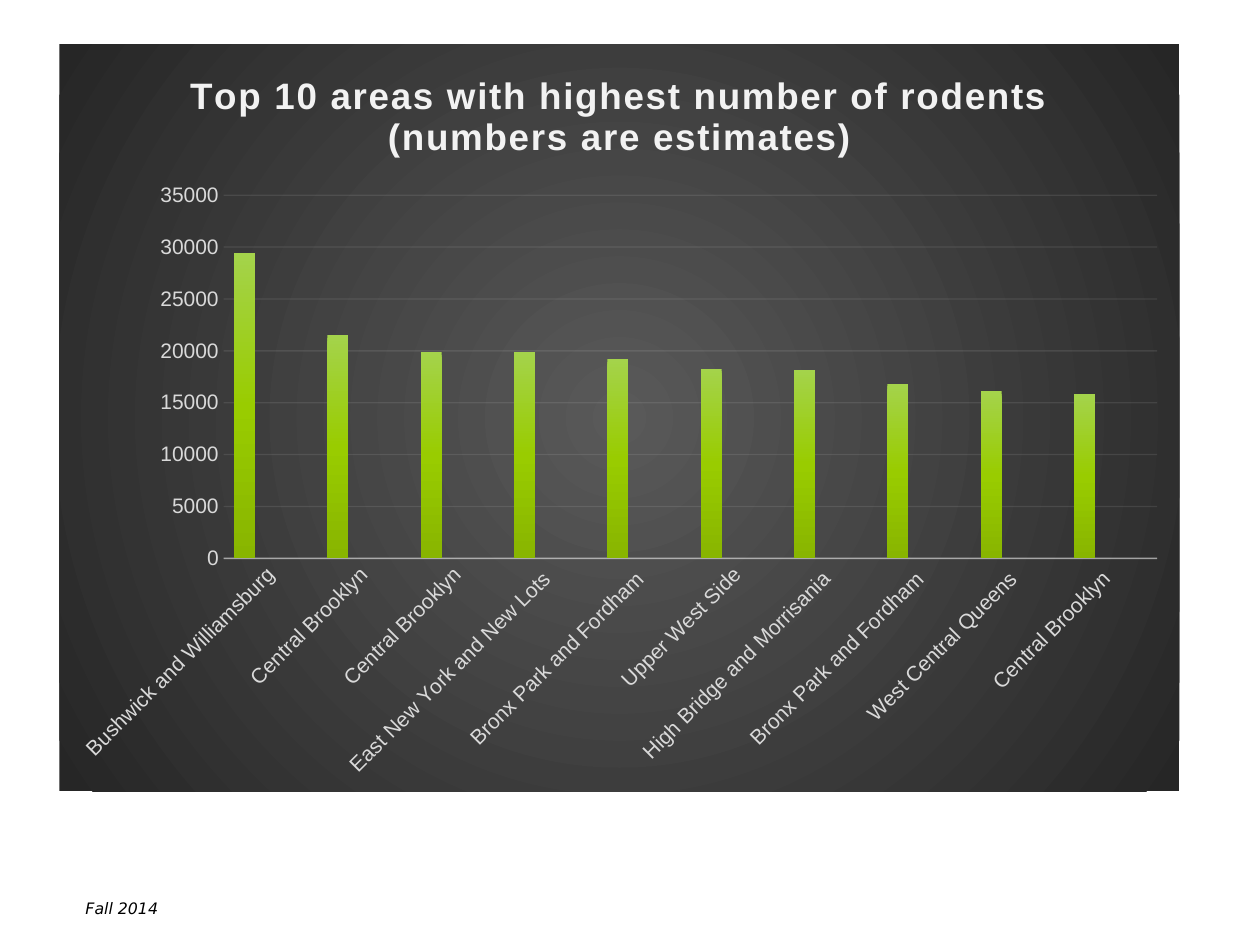
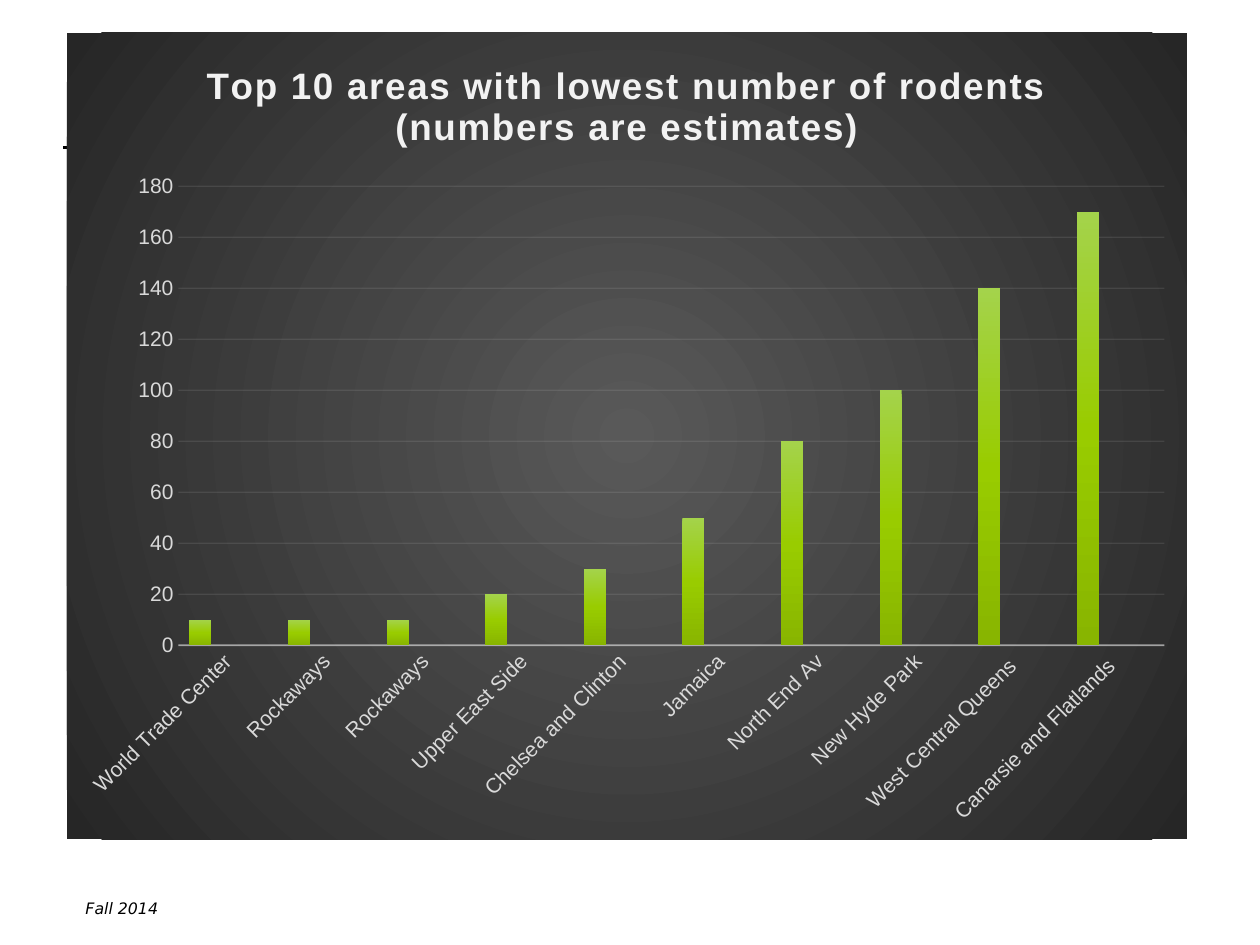
from pptx import Presentation
from pptx.chart.data import CategoryChartData
from pptx.dml.color import RGBColor
from pptx.enum.chart import XL_CHART_TYPE, XL_TICK_MARK
from pptx.enum.shapes import MSO_CONNECTOR
from pptx.oxml import parse_xml
from pptx.oxml.ns import nsdecls
from pptx.oxml.xmlchemy import OxmlElement
from pptx.util import Pt

BLACK = RGBColor(0x00, 0x00, 0x00)
PALE = RGBColor(0xF2, 0xF2, 0xF2)
LABEL_GREY = RGBColor(0xD9, 0xD9, 0xD9)

CENTRE_GREY = RGBColor(0x59, 0x59, 0x59)
EDGE_GREY = RGBColor(0x26, 0x26, 0x26)
GREENS = [RGBColor(0xA4, 0xD3, 0x4B), RGBColor(0x99, 0xCC, 0x00), RGBColor(0x88, 0xB5, 0x00)]
OLIVES = [RGBColor(0xD2, 0xD2, 0x7A), RGBColor(0xD1, 0xD1, 0x61), RGBColor(0xC0, 0xC0, 0x50)]
WHITES = [RGBColor(0xFF, 0xFF, 0xFF), RGBColor(0xFF, 0xFF, 0xFF), RGBColor(0xE3, 0xE3, 0xE3)]

CHART_FONT = "Arial"
FOOTER_FONT = "DejaVu Sans"
DOWNWARD = '<a:lin ang="5400000" scaled="0"/>'
FROM_CENTRE = '<a:path path="circle"><a:fillToRect l="50000" t="50000" r="50000" b="50000"/></a:path>'

MOST_RODENTS = [
    ("Bushwick and Williamsburg", 29400),
    ("Central Brooklyn", 21500),
    ("Central Brooklyn", 19900),
    ("East New York and New Lots ", 19900),
    ("Bronx Park and Fordham ", 19200),
    ("Upper West Side", 18300),
    ("High Bridge and Morrisania ", 18200),
    ("Bronx Park and Fordham ", 16800),
    ("West Central Queens ", 16100),
    ("Central Brooklyn ", 15800),
]
FEWEST_RODENTS = [
    ("World Trade Center", 10),
    ("Rockaways", 10),
    ("Rockaways", 10),
    ("Upper East Side", 20),
    ("Chelsea and Clinton", 30),
    ("Jamaica", 50),
    ("North End Av", 80),
    ("New Hyde Park", 100),
    ("West Central Queens ", 140),
    ("Canarsie and Flatlands ", 170),
]


def gradient(colors, direction):
    """Return a gradient fill with evenly spaced stops."""
    step = 100000 // (len(colors) - 1)
    stops = "".join(
        f'<a:gs pos="{index * step}"><a:srgbClr val="{color}"/></a:gs>'
        for index, color in enumerate(colors)
    )
    return parse_xml(f'<a:gradFill {nsdecls("a")}><a:gsLst>{stops}</a:gsLst>{direction}</a:gradFill>')


def style_line(line, width, opacity):
    line.width = Pt(width)
    line.color.rgb = PALE
    color = line.fill._xPr.find(".//{*}srgbClr")
    alpha = OxmlElement("a:alpha")
    alpha.set("val", str(opacity * 1000))
    color.append(alpha)


def style_font(font, size, color, name=CHART_FONT):
    font.size = Pt(size)
    font.name = name
    font.color.rgb = color


def add_header_rule(slide):
    rule = slide.shapes.add_connector(MSO_CONNECTOR.STRAIGHT, Pt(36), Pt(84.24), Pt(671.76), Pt(84.24))
    rule.line.color.rgb = BLACK
    rule.line.width = Pt(1.5)
    rule._element.spPr.append(OxmlElement("a:effectLst"))


def add_footer(slide):
    footer = slide.shapes.add_textbox(Pt(41.76), Pt(509.76), Pt(162), Pt(18))
    footer.text_frame.word_wrap = True
    paragraph = footer.text_frame.paragraphs[0]
    paragraph.text = "Fall 2014"
    style_font(paragraph.font, 9, BLACK, FOOTER_FONT)
    paragraph.font.italic = True


def style_title(chart, title):
    chart.has_title = True
    chart.chart_title.include_in_layout = False
    paragraph = chart.chart_title.text_frame.paragraphs[0]
    run = paragraph.add_run()
    run.text = title
    style_font(run.font, 21, PALE)
    run.font.bold = True
    run.font._element.set("spc", "100")


def style_axes(chart):
    for axis in (chart.category_axis, chart.value_axis):
        axis.major_tick_mark = XL_TICK_MARK.NONE
        axis.minor_tick_mark = XL_TICK_MARK.NONE
        style_font(axis.tick_labels.font, 12, LABEL_GREY)
    style_line(chart.category_axis.format.line, 1, 54)
    label_body = chart.category_axis._element.find("{*}txPr/{*}bodyPr")
    label_body.set("rot", "-2700000")
    label_body.set("vert", "horz")
    chart.value_axis.format.line.fill.background()
    style_line(chart.value_axis.major_gridlines.format.line, 0.75, 10)


def fill_background(chart):
    properties = parse_xml(f'<c:spPr {nsdecls("c", "a")}><a:ln><a:noFill/></a:ln></c:spPr>')
    properties.insert(0, gradient([CENTRE_GREY, EDGE_GREY], FROM_CENTRE))
    chart._chartSpace.find("{*}chart").addnext(properties)


def add_rodent_chart(slide, title, areas, left, top, height):
    names, counts = zip(*areas)
    data = CategoryChartData()
    data.categories = names
    data.add_series("Series 1", counts)
    for empty_name in ("Series 2", "Series 3"):
        data.add_series(empty_name, [None] * len(names))

    chart = slide.shapes.add_chart(
        XL_CHART_TYPE.COLUMN_CLUSTERED, Pt(left), Pt(top), Pt(640), Pt(height), data
    ).chart
    chart.has_legend = False
    style_font(chart.font, 10, BLACK)
    style_title(chart, title)
    style_axes(chart)
    fill_background(chart)

    plot = chart.plots[0]
    plot.gap_width = 100
    plot.overlap = -24
    plot.vary_by_categories = False
    for series, colors in zip(plot.series, (GREENS, OLIVES, WHITES)):
        series._element.get_or_add_spPr().append(gradient(colors, DOWNWARD))


def main():
    presentation = Presentation()
    presentation.slide_width = Pt(720)
    presentation.slide_height = Pt(540)
    charts = [
        ("Top 10 areas with highest number of rodents (numbers are estimates)",
         MOST_RODENTS, 34, 25.2, 427),
        ("Top 10 areas with lowest number of rodents (numbers are estimates)",
         FEWEST_RODENTS, 38.2, 18.7, 460.8),
    ]
    for chart in charts:
        slide = presentation.slides.add_slide(presentation.slide_layouts[6])
        add_header_rule(slide)
        add_footer(slide)
        add_rodent_chart(slide, *chart)
    presentation.save("out.pptx")


if __name__ == "__main__":
    main()
